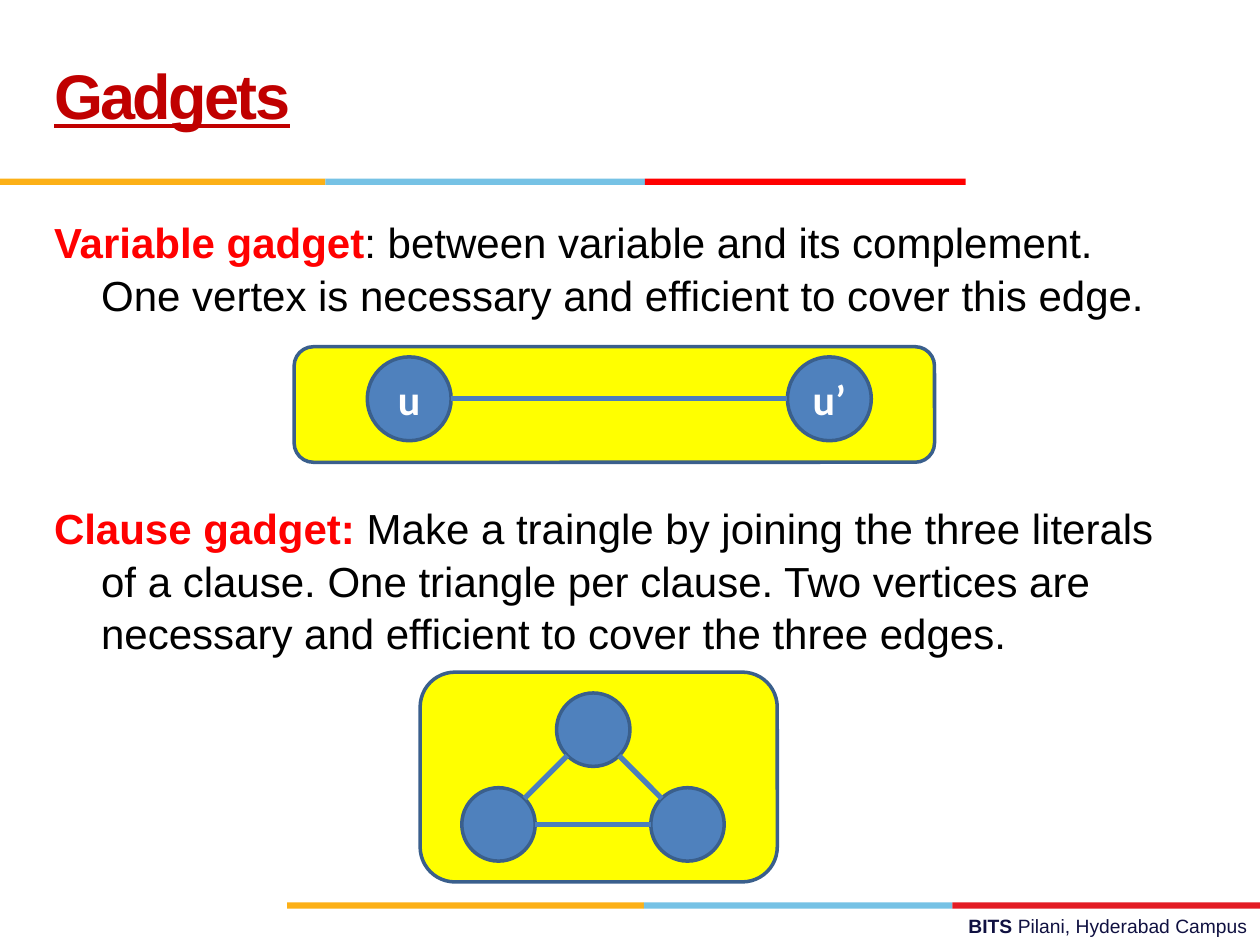
from dataclasses import dataclass
from itertools import combinations
from math import hypot

from lxml.etree import SubElement
from pptx import Presentation
from pptx.dml.color import RGBColor
from pptx.enum.shapes import MSO_CONNECTOR, MSO_SHAPE
from pptx.enum.text import MSO_ANCHOR, PP_ALIGN
from pptx.oxml.ns import qn
from pptx.util import Cm, Pt


@dataclass(frozen=True)
class Theme:
    font: str = "Arial"
    node_font: str = "Calibri"
    title_size: int = 36
    body_size: int = 24
    footer_size: int = 11
    title: str = "C00000"
    term: str = "FF0000"
    body: str = "000000"
    footer: str = "101141"
    panel: str = "FFFF00"
    node: str = "4F81BD"
    outline: str = "3A5F8C"
    edge: str = "4B7EBC"
    node_text: str = "FFFFFF"
    gold: str = "FCB017"
    sky: str = "76C2E5"
    top_red: str = "FF0000"
    bottom_red: str = "E31C24"


THEME = Theme()


def rgb(value):
    return RGBColor.from_string(value)


def add_text(s, box, runs, size, color):
    """Add a one-paragraph text box; runs are (text, bold, color)."""
    tf = s.shapes.add_textbox(*map(Cm, box)).text_frame
    tf.word_wrap = True
    p = tf.paragraphs[0]
    p.font.name, p.font.size, p.font.color.rgb = THEME.font, Pt(size), rgb(color)
    for text, bold, run_color in runs:
        r = p.add_run()
        r.text = text
        r.font.bold = bold
        r.font.color.rgb = rgb(run_color)
    return tf


def add_title(s, text):
    tf = add_text(s, (0.84, 0.43, 17.58, 3.18), [(text, True, THEME.title)],
                  THEME.title_size, THEME.title)
    tf.vertical_anchor = MSO_ANCHOR.MIDDLE
    p = tf.paragraphs[0]
    p.line_spacing = Pt(36)
    p.font.underline = True
    p.runs[0].font._element.set("spc", "-150")


def add_definition(s, top, height, term, text):
    """Add a paragraph with a hanging indent that opens with a red term."""
    tf = add_text(s, (0.84, top, 22.86, height),
                  [(term, True, THEME.term), (text, False, THEME.body)],
                  THEME.body_size, THEME.body)
    p = tf.paragraphs[0]
    p.line_spacing = 1.05
    pPr = p._p.get_or_add_pPr()
    pPr.set("marL", str(Cm(0.95)))
    pPr.set("indent", str(-Cm(0.95)))


def add_footer(s):
    tf = add_text(s, (9.09, 18.31, 16.31, 0.74),
                  [("BITS ", True, THEME.footer),
                   ("Pilani, Hyderabad Campus", False, THEME.footer)],
                  THEME.footer_size, THEME.footer)
    tf.paragraphs[0].alignment = PP_ALIGN.RIGHT


def add_filled(s, kind, box, fill, outline=None):
    shape = s.shapes.add_shape(kind, *map(Cm, box))
    shape.shadow.inherit = False
    shape.fill.solid()
    shape.fill.fore_color.rgb = rgb(fill)
    if outline:
        shape.line.color.rgb = rgb(outline)
        shape.line.width = Pt(2)
    else:
        shape.line.fill.background()
    return shape


def add_stripe(s, top, stops, colors):
    """Add adjoining colour bars between successive stops."""
    for left, right, color in zip(stops, stops[1:], colors):
        add_filled(s, MSO_SHAPE.RECTANGLE, (left, top, right - left, 0.13), color)


def add_node(s, center, diameter, label):
    x, y = center
    box = (x - diameter / 2, y - diameter / 2, diameter, diameter)
    shape = add_filled(s, MSO_SHAPE.OVAL, box, THEME.node, THEME.outline)
    if label:
        tf = shape.text_frame
        tf.vertical_anchor = MSO_ANCHOR.MIDDLE
        p = tf.paragraphs[0]
        p.alignment = PP_ALIGN.CENTER
        p.font.name, p.font.size = THEME.node_font, Pt(THEME.body_size)
        p.font.bold = True
        p.font.color.rgb = rgb(THEME.node_text)
        p.add_run().text = label


def add_edge(s, start, end, diameter):
    """Join two nodes from rim to rim."""
    (x1, y1), (x2, y2) = start, end
    share = diameter / 2 / hypot(x2 - x1, y2 - y1)
    dx, dy = (x2 - x1) * share, (y2 - y1) * share
    line = s.shapes.add_connector(
        MSO_CONNECTOR.STRAIGHT, Cm(x1 + dx), Cm(y1 + dy), Cm(x2 - dx), Cm(y2 - dy))
    line.line.color.rgb = rgb(THEME.edge)
    line.line.width = Pt(3)
    SubElement(line._element.spPr, qn("a:effectLst"))


def add_gadget(s, panel, diameter, nodes):
    """Add a panel with every pair of its (label, center) nodes joined."""
    add_filled(s, MSO_SHAPE.ROUNDED_RECTANGLE, panel, THEME.panel, THEME.outline)
    for label, center in nodes:
        add_node(s, center, diameter, label)
    for (_, start), (_, end) in combinations(nodes, 2):
        add_edge(s, start, end, diameter)


def main():
    prs = Presentation()
    prs.slide_width, prs.slide_height = Cm(25.4), Cm(19.05)
    s = prs.slides.add_slide(prs.slide_layouts[6])

    add_footer(s)
    add_stripe(s, 18.19, (5.79, 12.98, 19.2, 25.4),
               (THEME.gold, THEME.sky, THEME.bottom_red))
    add_stripe(s, 3.6, (0, 6.56, 13, 19.47),
               (THEME.gold, THEME.sky, THEME.top_red))
    add_title(s, "Gadgets")

    add_definition(s, 4.19, 2.4, "Variable gadget",
                   ": between variable and its complement. "
                   "One vertex is necessary and efficient to cover this edge.")
    add_gadget(s, (5.93, 6.99, 12.91, 2.33), 1.69,
               [("u", (8.25, 8.04)), ("u’", (16.72, 8.04))])

    add_definition(s, 9.95, 3.4, "Clause gadget: ",
                   "Make a traingle by joining the three literals of a clause. "
                   "One triangle per clause. Two vertices are necessary and "
                   "efficient to cover the three edges.")
    add_gadget(s, (8.47, 13.55, 7.2, 4.23), 1.48,
               [("", (11.96, 14.71)), ("", (10.05, 16.62)), ("", (13.86, 16.62))])

    prs.save("out.pptx")


if __name__ == "__main__":
    main()
